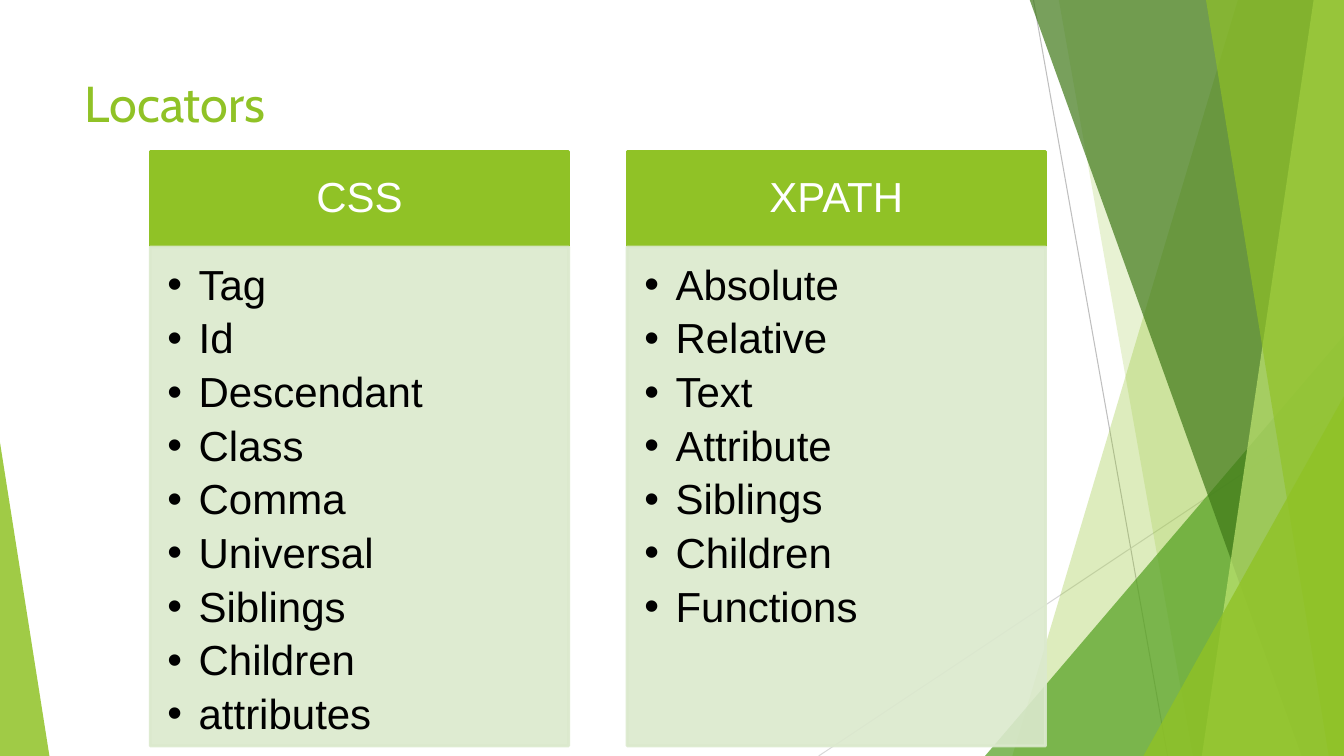
from dataclasses import dataclass

from lxml.etree import SubElement
from pptx import Presentation
from pptx.dml.color import RGBColor
from pptx.enum.shapes import MSO_CONNECTOR, MSO_SHAPE
from pptx.enum.text import MSO_ANCHOR, MSO_AUTO_SIZE, PP_ALIGN
from pptx.oxml.ns import qn
from pptx.util import Pt

PX = 9144
WIDTH, HEIGHT = 1333, 750
COMPARISON_LAYOUT = 4


@dataclass(frozen=True)
class Theme:
    lime: str = "90C226"
    green: str = "54A021"
    forest: str = "3F7818"
    pale_lime: str = "BFE471"
    panel: str = "DBE9CD"
    dark_rule: str = "BFBFBF"
    light_rule: str = "D8D8D8"
    white: str = "FFFFFF"
    black: str = "000000"
    title_font: str = "Cabin"
    body_font: str = "Arial"
    title_size: int = 36
    body_size: int = 30


THEME = Theme()

COLUMNS = [
    ("CSS", ["Tag", "Id", "Descendant", "Class", "Comma", "Universal",
             "Siblings", "Children", "attributes"]),
    ("XPATH", ["Absolute", "Relative", "Text", "Attribute", "Siblings",
               "Children", "Functions"]),
]


def paint(fill, color, opacity=100):
    fill.solid()
    fill.fore_color.rgb = RGBColor.from_string(color)
    if opacity < 100:
        for node in fill._xPr.iter(qn("a:srgbClr")):
            if node.getparent().getparent() is fill._xPr:
                SubElement(node, qn("a:alpha"), val=str(opacity * 1000))


def place(shape, box):
    shape.left, shape.top, shape.width, shape.height = (value * PX for value in box)


def decorate(shape, color, opacity):
    shape.shadow.inherit = False
    paint(shape.fill, color, opacity)
    shape.line.fill.background()


def add_rule(page, start, end, color):
    points = [value * PX for value in (*start, *end)]
    rule = page.shapes.add_connector(MSO_CONNECTOR.STRAIGHT, *points)
    rule.line.width = Pt(0.75)
    paint(rule.line.fill, color)
    SubElement(rule.element.spPr, qn("a:effectLst"))


def add_band(page, top_left, top_right, bottom_left, bottom_right, color, opacity):
    builder = page.shapes.build_freeform(top_left, -1, scale=PX)
    builder.add_line_segments(
        [(top_right, -1), (bottom_right, HEIGHT), (bottom_left, HEIGHT)])
    decorate(builder.convert_to_shape(), color, opacity)


def add_triangle(page, box, apex, color, opacity):
    shape = page.shapes.add_shape(
        MSO_SHAPE.ISOSCELES_TRIANGLE, *(value * PX for value in box))
    shape.adjustments[0] = apex
    decorate(shape, color, opacity)


def add_backdrop(page):
    add_rule(page, (1025, 0), (1158, HEIGHT), THEME.dark_rule)
    add_rule(page, (WIDTH, 403), (812, HEIGHT), THEME.light_rule)
    add_band(page, 1228, WIDTH, 1004, WIDTH, THEME.lime, 30)
    add_band(page, 1050, WIDTH, 1183, WIDTH, THEME.lime, 20)
    add_triangle(page, (977, 333, 356, 417), 1, THEME.green, 72)
    add_band(page, 1021, WIDTH, 1291, WIDTH, THEME.forest, 70)
    add_band(page, 1303, WIDTH, 1192, WIDTH, THEME.pale_lime, 70)
    add_band(page, 1196, WIDTH, 1318, WIDTH, THEME.lime, 65)
    add_triangle(page, (1134, 393, 199, 357), 1, THEME.lime, 80)
    add_triangle(page, (0, 439, 49, 311), 0, THEME.lime, 85)


def set_text(shape, lines, font, size, color, anchor, align, margins):
    frame = shape.text_frame
    frame.text = "\n".join(lines)
    frame.word_wrap = True
    frame.auto_size = MSO_AUTO_SIZE.NONE
    frame.vertical_anchor = anchor
    (frame.margin_left, frame.margin_top,
     frame.margin_right, frame.margin_bottom) = (value * PX for value in margins)
    for para in frame.paragraphs:
        para.alignment = align
        para.space_before = Pt(0)
        for span in para.runs:
            span.font.name = font
            span.font.size = Pt(size)
            span.font.bold = False
            span.font.color.rgb = RGBColor.from_string(color)


def fill_title(title, box, text):
    place(title, box)
    set_text(title, [text], THEME.title_font, THEME.title_size, THEME.lime,
             MSO_ANCHOR.TOP, PP_ALIGN.LEFT, (10, 5, 10, 5))


def fill_panel(shape, box, color, opacity):
    place(shape, box)
    paint(shape.fill, color, opacity)
    shape.line.width = Pt(2)
    paint(shape.line.fill, color, opacity)


def add_bullet(para):
    properties = para._p.get_or_add_pPr()
    properties.set("marL", str(31 * PX))
    properties.set("indent", str(-31 * PX))
    bullet_color = SubElement(properties, qn("a:buClr"))
    SubElement(bullet_color, qn("a:srgbClr"), val=THEME.black)
    SubElement(properties, qn("a:buFont"), typeface=THEME.body_font)
    SubElement(properties, qn("a:buChar"), char="•")


def fill_column(header, body, box, heading, items):
    left, top, width, height = box
    header_height = 94
    body_top = header_height + 1

    fill_panel(header, (left, top, width, header_height), THEME.lime, 100)
    set_text(header, [heading], THEME.body_font, THEME.body_size, THEME.white,
             MSO_ANCHOR.MIDDLE, PP_ALIGN.CENTER, (23, 13, 23, 13))
    header.text_frame.paragraphs[0].line_spacing = 0.9

    fill_panel(body, (left, top + body_top, width, height - body_top), THEME.panel, 90)
    set_text(body, items, THEME.body_font, THEME.body_size, THEME.black,
             MSO_ANCHOR.TOP, PP_ALIGN.LEFT, (17, 17, 23, 26))
    for para in body.text_frame.paragraphs:
        para.line_spacing = 0.9
        para.space_after = Pt(5.9)
        add_bullet(para)


def build_comparison(deck):
    page = deck.slides.add_slide(deck.slide_layouts[COMPARISON_LAYOUT])
    title, *panels = page.placeholders
    add_backdrop(page)
    for shape in (title, *panels):
        shape.element.getparent().append(shape.element)

    fill_title(title, (74, 67, 940, 144), "Locators")
    column_width, gap = 415, 58
    for index, (heading, items) in enumerate(COLUMNS):
        header, body = panels[2 * index:2 * index + 2]
        left = 149 + index * (column_width + gap)
        fill_column(header, body, (left, 150, column_width, 590), heading, items)


def main():
    deck = Presentation()
    deck.slide_width, deck.slide_height = WIDTH * PX, HEIGHT * PX
    build_comparison(deck)
    deck.save("out.pptx")


if __name__ == "__main__":
    main()
